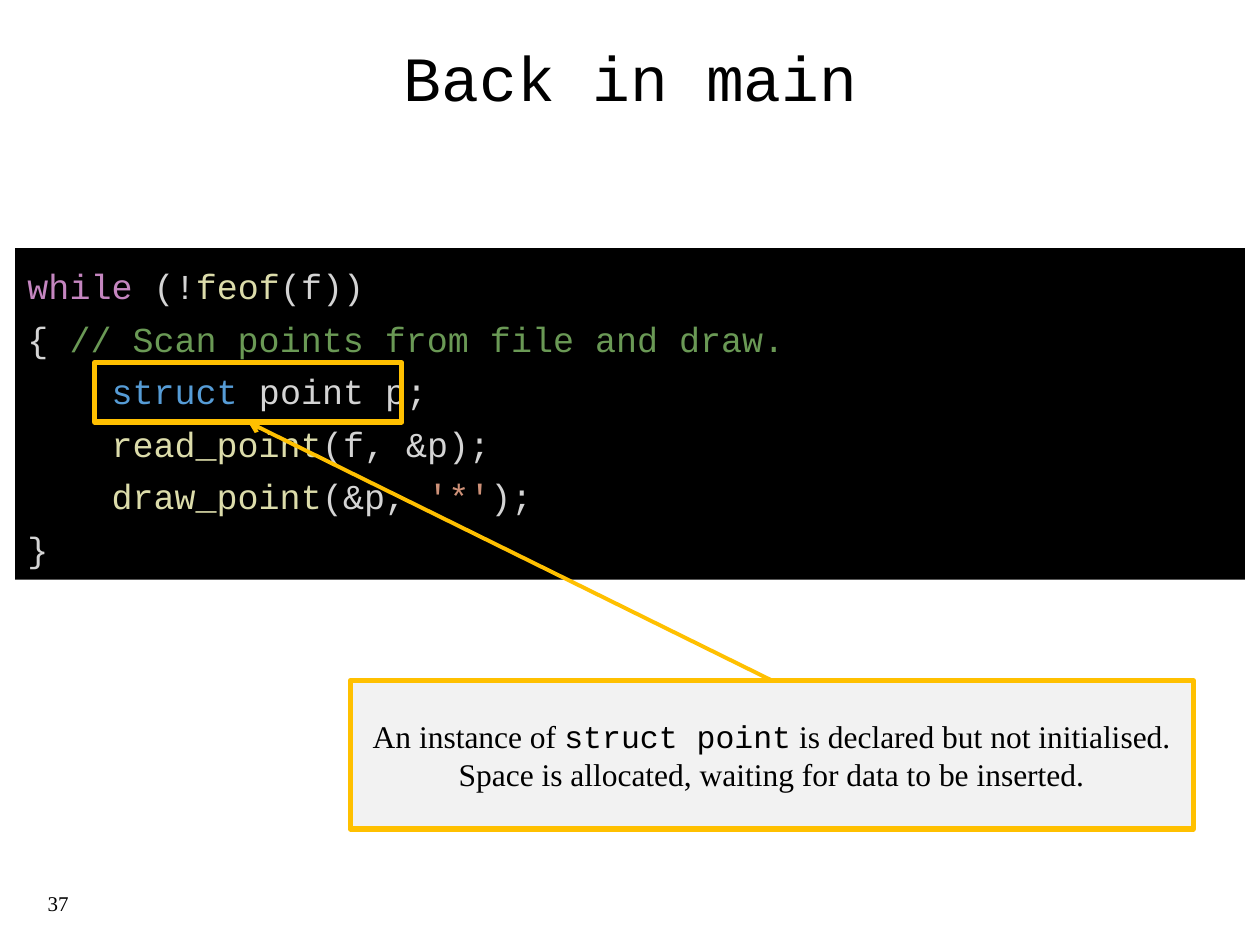
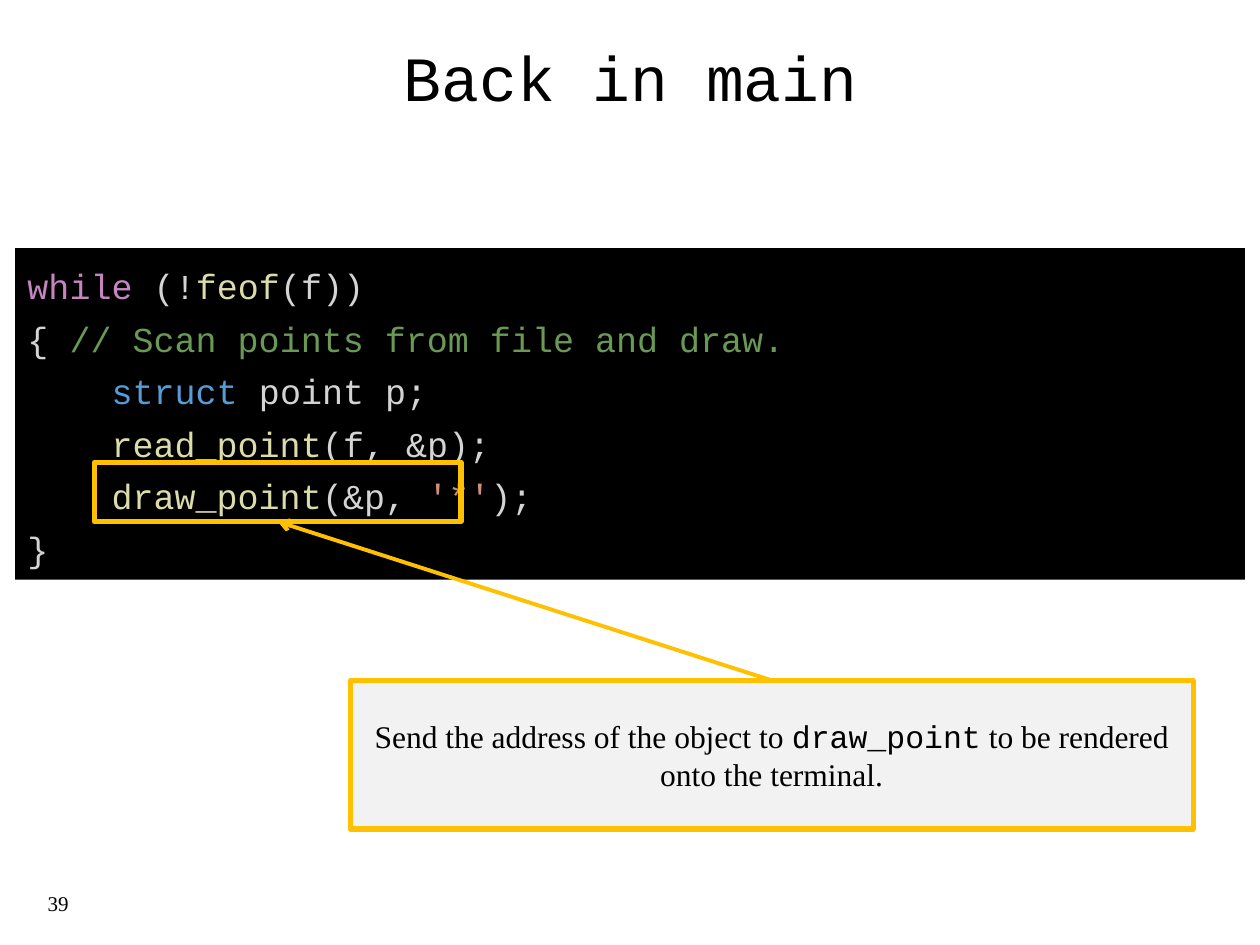
from lxml import etree
from pptx import Presentation
from pptx import util as u
from pptx.dml import color
from pptx.enum import shapes, text
from pptx.oxml import ns

SCALE = 9144
MONO, SERIF = "Courier New", "Times New Roman"
BLACK, WHITE, PANEL, ACCENT = "000000", "FFFFFF", "F2F2F2", "FFC000"
KEYWORD, PLAIN, FUNCTION = "C586C0", "D4D4D4", "DCDCAA"
COMMENT, TYPE, LITERAL = "6A9955", "569CD6", "CE9178"

CODE = [
    [("while", KEYWORD), (" (!", PLAIN), ("feof", FUNCTION), ("(f))", PLAIN)],
    [("{ ", PLAIN), ("// Scan points from file and draw.", COMMENT)],
    [("    struct ", TYPE), ("point p;", PLAIN)],
    [("    read_point", FUNCTION), ("(f, &p);", PLAIN)],
    [("    draw_point", FUNCTION), ("(&p, ", PLAIN), ("'*'", LITERAL), (");", PLAIN)],
    [("}", PLAIN)],
]
TITLE_BOX = (28, 6, 945, 109)
NUMBER_BOX = (28, 697, 732, 40)
CODE_BOX = (12, 197, 976, 263)
NOTE_BOX = (278, 540, 669, 118)
SLIDES = [
    {
        "number": "37",
        "highlight": (75, 288, 244, 47),
        "note": [
            [("An instance of ", SERIF), ("struct point", MONO),
             (" is declared but not initialised.", SERIF)],
            [("Space is allocated, waiting for data to be inserted.", SERIF)],
        ],
    },
    {
        "number": "39",
        "highlight": (75, 367, 291, 47),
        "note": [
            [("Send the address of the object to ", SERIF), ("draw_point", MONO),
             (" to be rendered onto the terminal.", SERIF)],
        ],
    },
]


def rgb(value):
    return color.RGBColor.from_string(value)


def px(*lengths):
    return [u.Emu(length * SCALE) for length in lengths]


def apply(target, **values):
    for name, value in values.items():
        setattr(target, name, value)


class Deck:
    """Holds the shared style and the slide being built."""

    def __init__(self):
        self.presentation = Presentation()
        width, height = px(1000, 750)
        apply(self.presentation, slide_width=width, slide_height=height)

    def new_slide(self):
        self.slide = self.presentation.slides.add_slide(self.presentation.slide_layouts[6])
        self.slide.background.fill.solid()
        self.slide.background.fill.fore_color.rgb = rgb(WHITE)

    def add_text(self, shape, paragraphs, size, align="LEFT", anchor="MIDDLE", spacing=None):
        frame = shape.text_frame
        apply(frame, word_wrap=True, vertical_anchor=text.MSO_ANCHOR[anchor])
        for index, runs in enumerate(paragraphs):
            paragraph = frame.add_paragraph() if index else frame.paragraphs[0]
            apply(paragraph, alignment=text.PP_ALIGN[align], line_spacing=spacing)
            for content, font, tint in runs:
                run = paragraph.add_run()
                run.text = content
                apply(run.font, name=font, size=u.Pt(size))
                run.font.color.rgb = rgb(tint)

    def label(self, box, content, font, size, align="LEFT"):
        shape = self.slide.shapes.add_textbox(*px(*box))
        self.add_text(shape, [[(content, font, BLACK)]], size, align)

    def box(self, box, fill=None, line=None):
        shape = self.slide.shapes.add_shape(shapes.MSO_SHAPE.RECTANGLE, *px(*box))
        shape.shadow.inherit = False
        for part, tint in ((shape.fill, fill), (shape.line.fill, line)):
            if tint:
                part.solid()
                part.fore_color.rgb = rgb(tint)
            else:
                part.background()
        if line:
            shape.line.width = u.Pt(3)
        return shape

    def code(self, lines):
        panel = self.box(CODE_BOX, fill=BLACK)
        paragraphs = [[(content, MONO, tint) for content, tint in line] for line in lines]
        self.add_text(panel, paragraphs, 20, anchor="TOP", spacing=1.25)

    def note(self, lines):
        panel = self.box(NOTE_BOX, fill=PANEL, line=ACCENT)
        paragraphs = [[(content, font, BLACK) for content, font in line] for line in lines]
        self.add_text(panel, paragraphs, 18, align="CENTER")
        return panel

    def arrow(self, source, target):
        connector = self.slide.shapes.add_connector(shapes.MSO_CONNECTOR.STRAIGHT, 0, 0, 0, 0)
        connector.begin_connect(source, 0)
        connector.end_connect(target, 2)
        connector.line.width = u.Pt(2.25)
        connector.line.color.rgb = rgb(ACCENT)
        properties = connector.element.spPr
        etree.SubElement(properties.find(ns.qn("a:ln")), ns.qn("a:tailEnd"), type="arrow")
        etree.SubElement(properties, ns.qn("a:effectLst"))


def main():
    deck = Deck()
    for content in SLIDES:
        deck.new_slide()
        deck.label(TITLE_BOX, "Back in main", MONO, 36, "CENTER")
        deck.label(NUMBER_BOX, content["number"], SERIF, 12)
        deck.code(CODE)
        highlight = deck.box(content["highlight"], line=ACCENT)
        note = deck.note(content["note"])
        deck.arrow(note, highlight)
    deck.presentation.save("out.pptx")


if __name__ == "__main__":
    main()
